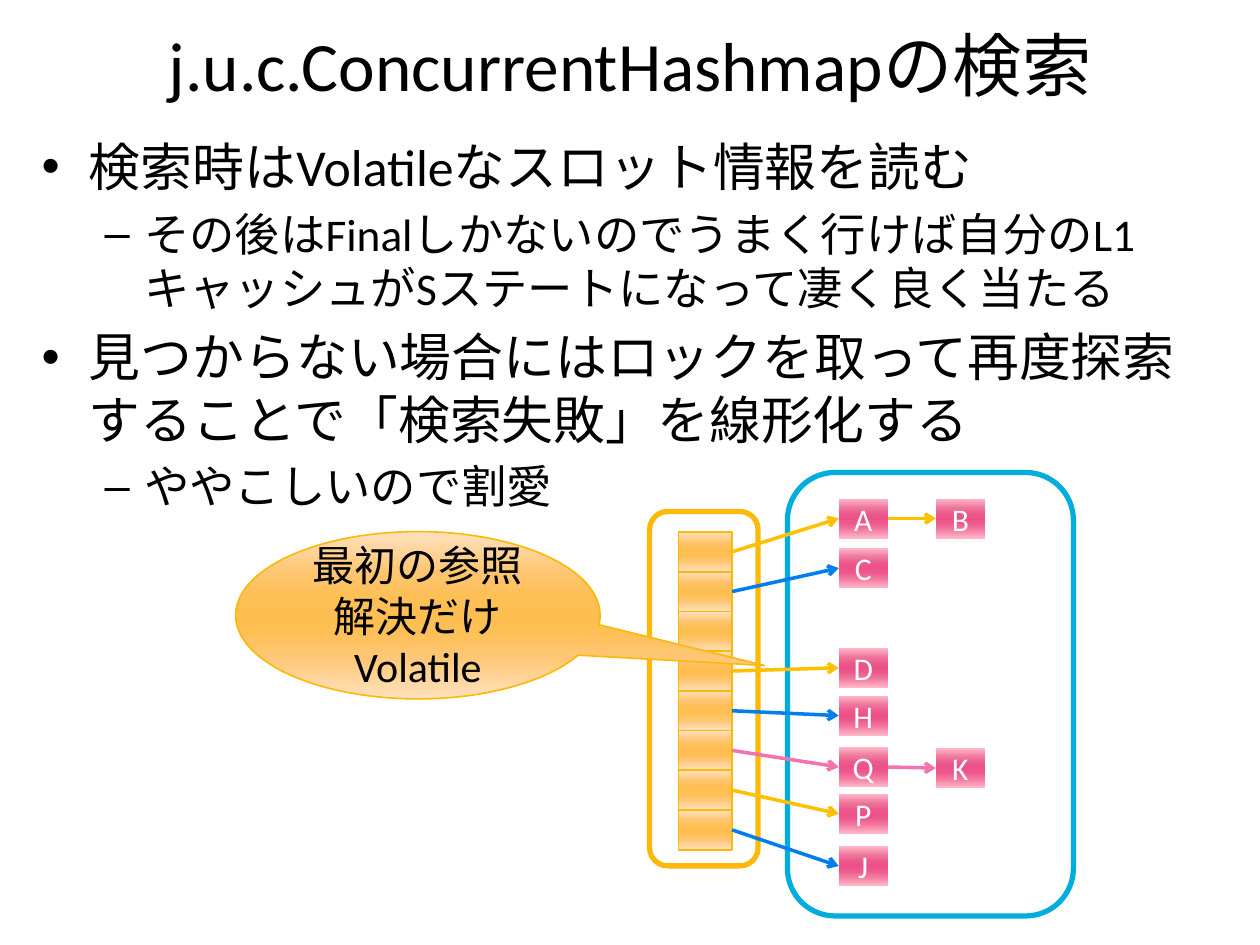
from lxml import etree
from pptx import Presentation
from pptx.dml.color import RGBColor
from pptx.enum import shapes, text
from pptx.oxml.ns import qn
from pptx.util import Pt

TITLE = "j.u.c.ConcurrentHashmapの検索"
BULLETS = [
    (0, "検索時はVolatileなスロット情報を読む"),
    (1, "その後はFinalしかないのでうまく行けば自分のL1キャッシュがSステートになって凄く良く当たる"),
    (0, "見つからない場合にはロックを取って再度探索することで「検索失敗」を線形化する"),
    (1, "ややこしいので割愛"),
]
BULLET_SIZES = (29.6, 25.9)
CALLOUT = "最初の参照解決だけVolatile"
COLORS = {
    "black": "000000", "white": "FFFFFF", "cyan": "00ADDC", "orange": "FEB80A",
    "yellow": "FFC000", "blue": "007EEB", "pink": "F273AF",
}
STOPS = (0, 25, 40, 50, 60, 75, 100)
GRADIENTS = {
    "slot": ("FFE1BF", "FEC570", "FEBF55", "FEBE51", "FEBF55", "FFC775", "FFE1BF"),
    "node": ("FFB6C9", "ED7198", "EC568B", "EC5289", "EC568B", "F2729A", "FFB6C9"),
}
# slot, arrow colour, then (label, top) along the chain
CHAINS = [
    (0, "yellow", [("A", 285), ("B", 285)]),
    (1, "blue", [("C", 313.3)]),
    (3, "yellow", [("D", 370.3)]),
    (4, "blue", [("H", 397.6)]),
    (5, "pink", [("Q", 427), ("K", 427.6)]),
    (6, "yellow", [("P", 453.7)]),
    (7, "blue", [("J", 483.6)]),
]
SLOT_COUNT = 8
SLOT_LEFT, SLOT_TOP, SLOT_W, SLOT_H = 387.8, 304, 30.6, 22.7
NODE_LEFT, NODE_STEP, NODE_W, NODE_H = 479.3, 55.5, 28, 22.6


def rgb(name):
    return RGBColor.from_string(COLORS[name])


def place(sp, left, top, width, height):
    sp.left, sp.top, sp.width, sp.height = map(Pt, (left, top, width, height))


def style(p, size, color):
    p.font.name, p.font.size = "Calibri", Pt(size)
    p.font.color.rgb = rgb(color)


def add_shape(s, kind, box, gradient=None, line=None, width=0.94):
    sp = s.shapes.add_shape(kind, *map(Pt, box))
    sp.shadow.inherit = False
    if gradient:
        sp.fill.gradient()
        sp.fill.gradient_angle = 270
        stops = sp._element.spPr.find(qn("a:gradFill")).find(qn("a:gsLst"))
        for old in list(stops):
            stops.remove(old)
        for pos, color in zip(STOPS, GRADIENTS[gradient]):
            gs = etree.SubElement(stops, qn("a:gs"), pos=str(pos * 1000))
            etree.SubElement(gs, qn("a:srgbClr"), val=color)
    else:
        sp.fill.solid()
        sp.fill.fore_color.rgb = rgb("white")
    if line:
        sp.line.color.rgb = rgb(line)
        sp.line.width = Pt(width)
    else:
        sp.line.fill.background()
    return sp


def add_label(sp, label, size, color):
    tf = sp.text_frame
    tf.word_wrap = True
    tf.vertical_anchor = text.MSO_ANCHOR.MIDDLE
    p = tf.paragraphs[0]
    p.text, p.alignment = label, text.PP_ALIGN.CENTER
    style(p, size, color)


def add_arrow(s, start, end, color):
    c = s.shapes.add_connector(shapes.MSO_CONNECTOR.STRAIGHT, 0, 0, 0, 0)
    c.begin_connect(start, 3)
    c.end_connect(end, 1)
    c.line.color.rgb = rgb(color)
    c.line.width = Pt(2)
    etree.SubElement(c.line._get_or_add_ln(), qn("a:tailEnd"), type="arrow")
    etree.SubElement(c._element.spPr, qn("a:effectLst"))


def add_text(s):
    title, body = s.placeholders
    place(title, 36, 11.5, 648, 50.4)
    place(body, 16.6, 73.4, 686, 191.5)
    for sp in (title, body):
        sp.text_frame.auto_size = text.MSO_AUTO_SIZE.NONE
    title.text_frame.text = TITLE
    style(title.text_frame.paragraphs[0], 39.6, "black")
    tf = body.text_frame
    for i, (level, line) in enumerate(BULLETS):
        p = tf.add_paragraph() if i else tf.paragraphs[0]
        p.text, p.level = line, level
        style(p, BULLET_SIZES[level], "black")


def add_diagram(s):
    kind = shapes.MSO_SHAPE
    add_shape(s, kind.ROUNDED_RECTANGLE, (450, 270, 163.4, 253.4), line="cyan", width=3)
    add_shape(s, kind.ROUNDED_RECTANGLE, (371.2, 292.3, 62, 202.5), line="orange", width=3)
    slots = [
        add_shape(s, kind.RECTANGLE, (SLOT_LEFT, SLOT_TOP + i * SLOT_H, SLOT_W, SLOT_H),
                  "slot", "orange")
        for i in range(SLOT_COUNT)
    ]
    for slot, color, nodes in CHAINS:
        previous = slots[slot]
        for col, (label, top) in enumerate(nodes):
            box = (NODE_LEFT + col * NODE_STEP, top, NODE_W, NODE_H)
            node = add_shape(s, kind.RECTANGLE, box, "node")
            add_label(node, label, 18, "white")
            add_arrow(s, previous, node, color)
            previous = node
    callout = add_shape(s, kind.OVAL_CALLOUT, (134.7, 303.8, 208.3, 95.6), "slot", "orange")
    callout.adjustments[0], callout.adjustments[1] = 0.95, 0.3
    add_label(callout, CALLOUT, 24, "black")


def main():
    """Build the slide on hash map lookup and save it."""
    prs = Presentation()
    prs.slide_width, prs.slide_height = Pt(720), Pt(540)
    s = prs.slides.add_slide(prs.slide_layouts[1])
    add_text(s)
    add_diagram(s)
    prs.save("out.pptx")


if __name__ == "__main__":
    main()
